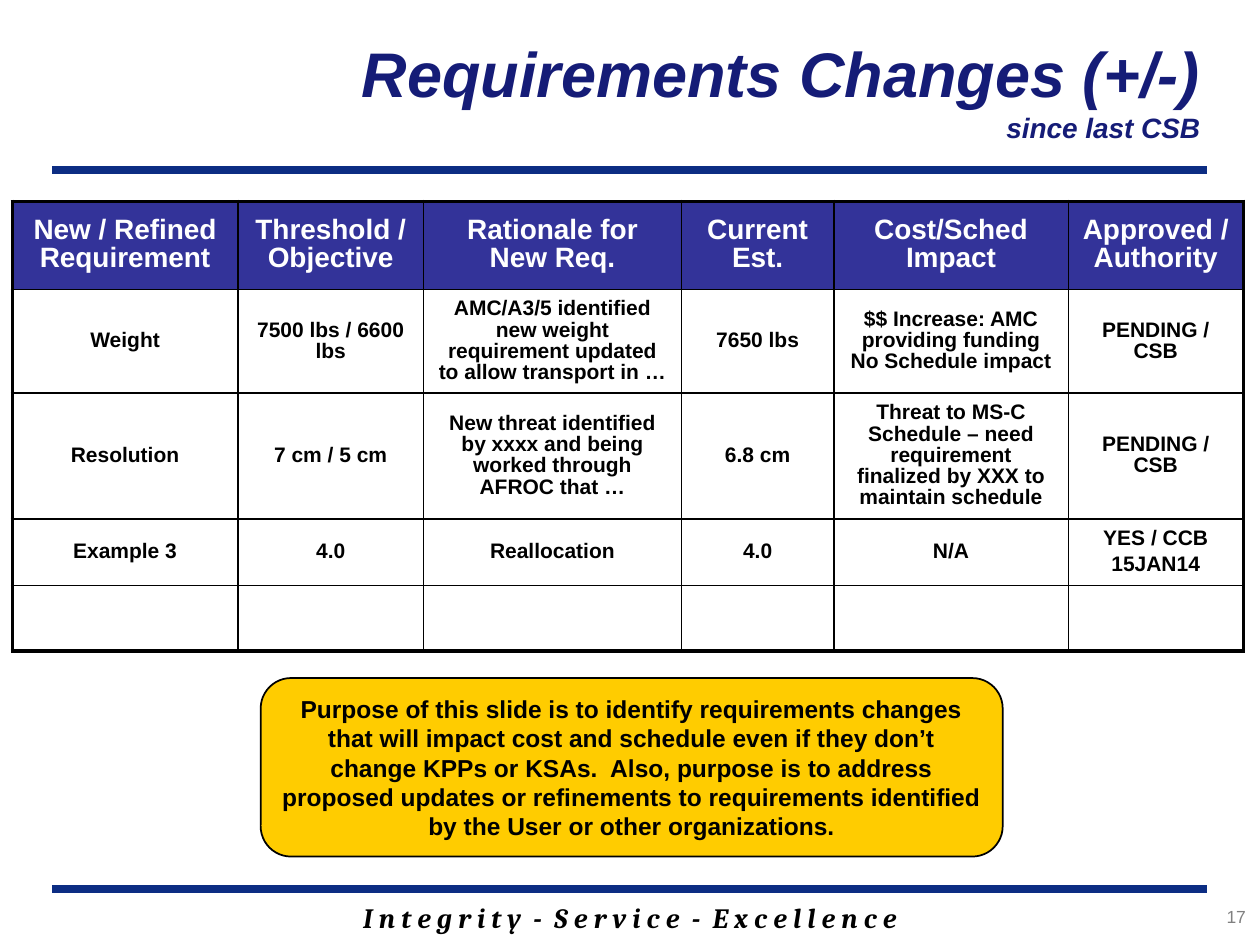
from dataclasses import dataclass

from lxml import etree
from pptx import Presentation
from pptx import util as u
from pptx.dml.color import RGBColor
from pptx.enum import shapes, text
from pptx.oxml import ns

Pt = u.Pt
CENTER, RIGHT = text.PP_ALIGN.CENTER, text.PP_ALIGN.RIGHT
TOP, MIDDLE = text.MSO_ANCHOR.TOP, text.MSO_ANCHOR.MIDDLE


@dataclass(frozen=True)
class Theme:
    body_font: str = "Arial"
    motto_font: str = "Cambria"
    black: str = "000000"
    white: str = "FFFFFF"
    navy: str = "151C77"
    rule: str = "0C2D83"
    header: str = "333399"
    callout: str = "FFCC00"
    grey: str = "808080"
    title: int = 36
    heading: int = 16
    note: int = 14
    cell: int = 12
    number: int = 10
    rule_width: float = 4.5
    outer: float = 2.25
    inner: float = 1


class Deck:
    def __init__(self, theme, width, height):
        self.t = theme
        self.prs = Presentation()
        self.prs.slide_width, self.prs.slide_height = Pt(width), Pt(height)
        self.s = self.prs.slides.add_slide(self.prs.slide_layouts[6])

    def font(self, f, size, color, bold=False, italic=False, name=None):
        f.name = name or self.t.body_font
        f.size, f.bold, f.italic = Pt(size), bold, italic
        f.color.rgb = RGBColor.from_string(color)

    def text_box(self, box, align, anchor=TOP):
        tf = self.s.shapes.add_textbox(*map(Pt, box)).text_frame
        tf.word_wrap, tf.vertical_anchor = True, anchor
        p = tf.paragraphs[0]
        p.alignment = align
        return p

    def label(self, words, box, align, *style, **kw):
        p = self.text_box(box, align)
        p.text = words
        self.font(p.font, *style, **kw)

    def title(self, heading, subheading, box):
        p = self.text_box(box, RIGHT, MIDDLE)
        for words, size in ((heading, self.t.title), (subheading, self.t.heading)):
            if p.runs:
                p.add_line_break()
            r = p.add_run()
            r.text = words
            self.font(r.font, size, self.t.navy, True, True)

    def rule(self, left, right, y):
        line = self.s.shapes.add_connector(
            shapes.MSO_CONNECTOR.STRAIGHT, Pt(left), Pt(y), Pt(right), Pt(y))
        line.line.color.rgb = RGBColor.from_string(self.t.rule)
        line.line.width = Pt(self.t.rule_width)
        etree.SubElement(line._element.spPr, ns.qn("a:effectLst"))

    def callout(self, words, box, adjustments):
        sp = self.s.shapes.add_shape(
            shapes.MSO_SHAPE.ROUNDED_RECTANGULAR_CALLOUT, *map(Pt, box))
        for i, value in enumerate(adjustments):
            sp.adjustments[i] = value
        sp.shadow.inherit = False
        sp.fill.solid()
        sp.fill.fore_color.rgb = RGBColor.from_string(self.t.callout)
        sp.line.color.rgb = RGBColor.from_string(self.t.black)
        sp.line.width = Pt(self.t.inner)
        tf = sp.text_frame
        tf.word_wrap, tf.vertical_anchor = True, MIDDLE
        p = tf.paragraphs[0]
        p.text, p.alignment = words, CENTER
        self.font(p.font, self.t.note, self.t.black, True)

    def borders(self, cell, outer_sides):
        tcPr = cell._tc.get_or_add_tcPr()
        for i, (side, outer) in enumerate(outer_sides.items()):
            width = self.t.outer if outer else self.t.inner
            ln = etree.Element(ns.qn(f"a:ln{side}"), w=str(int(Pt(width))))
            fill = etree.SubElement(ln, ns.qn("a:solidFill"))
            etree.SubElement(fill, ns.qn("a:srgbClr"), val=self.t.black)
            tcPr.insert(i, ln)

    def cell(self, cell, words, is_header):
        cell.vertical_anchor = MIDDLE
        if is_header:
            cell.fill.solid()
            cell.fill.fore_color.rgb = RGBColor.from_string(self.t.header)
            size, color = self.t.heading, self.t.white
        else:
            cell.fill.background()
            size, color = self.t.cell, self.t.black
        cell.text = words
        for p in cell.text_frame.paragraphs:
            p.alignment, p.line_spacing = CENTER, 0.9
            p.space_before = Pt(size / 4)
            self.font(p.font, size, color, True)

    def table(self, rows, left, top, widths, heights):
        table = self.s.shapes.add_table(
            len(heights), len(widths), Pt(left), Pt(top),
            Pt(sum(widths)), Pt(sum(heights))).table
        for column, width in zip(table.columns, widths):
            column.width = Pt(width)
        for row, height in zip(table.rows, heights):
            row.height = Pt(height)
        last_row, last_col = len(heights) - 1, len(widths) - 1
        for i, row in enumerate(rows):
            for j, words in enumerate(row):
                cell = table.cell(i, j)
                self.cell(cell, words, i == 0)
                self.borders(cell, {"L": j == 0, "R": j == last_col,
                                    "T": i == 0, "B": i == last_row})


REQUIREMENTS = [
    ["New / Refined Requirement", "Threshold / Objective", "Rationale for New Req.",
     "Current Est.", "Cost/Sched Impact", "Approved / Authority"],
    ["Weight", "7500 lbs / 6600 lbs",
     "AMC/A3/5 identified new weight requirement updated to allow transport in …",
     "7650 lbs", "$$ Increase: AMC providing funding\vNo Schedule impact",
     "PENDING / CSB"],
    ["Resolution", "7 cm / 5 cm",
     "New threat identified by xxxx and being worked through AFROC that …",
     "6.8 cm",
     "Threat to MS-C Schedule – need requirement finalized by XXX to maintain schedule",
     "PENDING / CSB"],
    ["Example 3", "4.0", "Reallocation", "4.0", "N/A", "YES / CCB\n15JAN14"],
    [""] * 6,
]
PURPOSE = (
    "Purpose of this slide is to identify requirements changes that will impact cost "
    "and schedule even if they don’t change KPPs or KSAs.  Also, purpose is to address "
    "proposed updates or refinements to requirements identified by the User or other "
    "organizations.")


def main():
    t = Theme()
    deck = Deck(t, 720, 540)
    deck.label("I n t e g r i t y  -  S e r v i c e  -  E x c e l l e n c e",
               (102, 511, 516, 27), CENTER, t.heading, t.black, True, True,
               name=t.motto_font)
    for y in (508, 97):
        deck.rule(30, 690, y)
    deck.label("17", (629, 514, 90, 24), RIGHT, t.number, t.grey)
    deck.title("Requirements Changes (+/-)", "since last CSB", (131, 6, 562, 90))
    deck.table(REQUIREMENTS, 7, 115, (129, 106, 147.5, 87, 134, 100),
               (50.5, 59, 67.5, 38, 37.5))
    deck.callout(PURPOSE, (149, 387.5, 424, 102), (-0.34, -0.5, 0.17))
    deck.prs.save("out.pptx")


if __name__ == "__main__":
    main()
